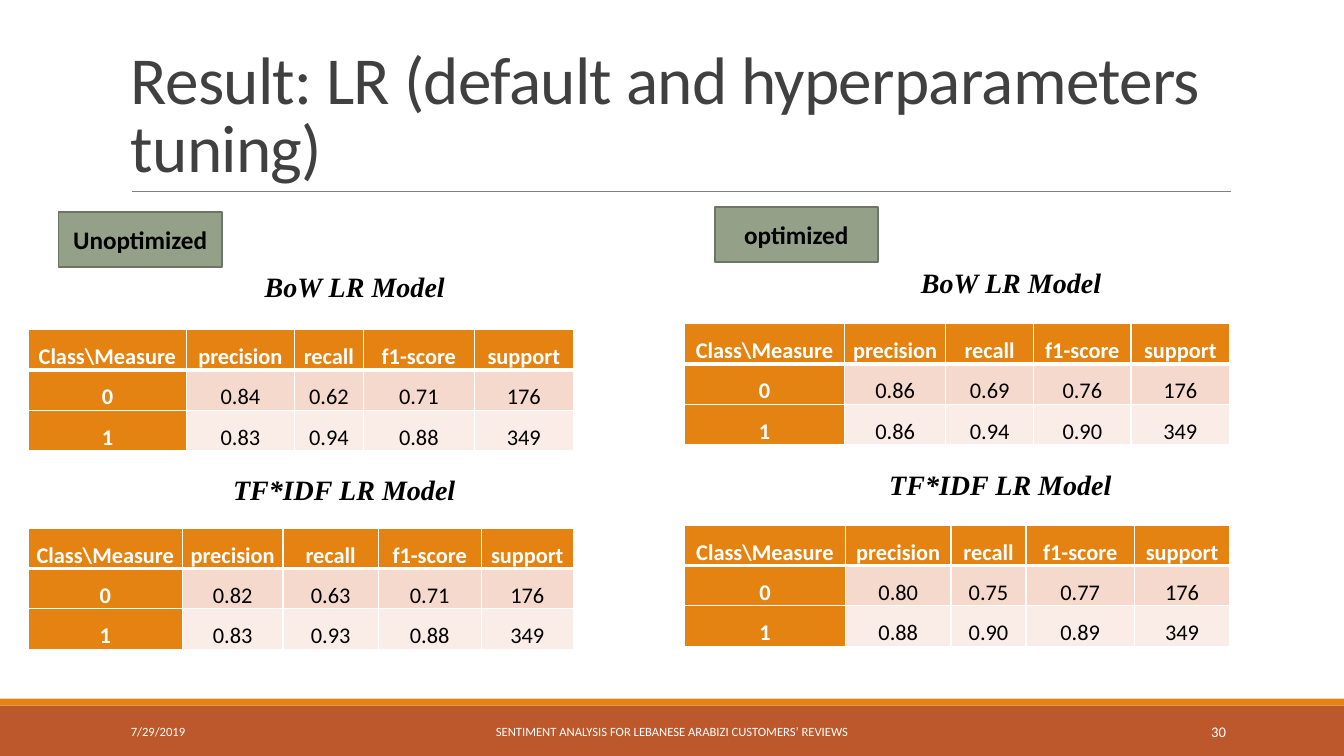
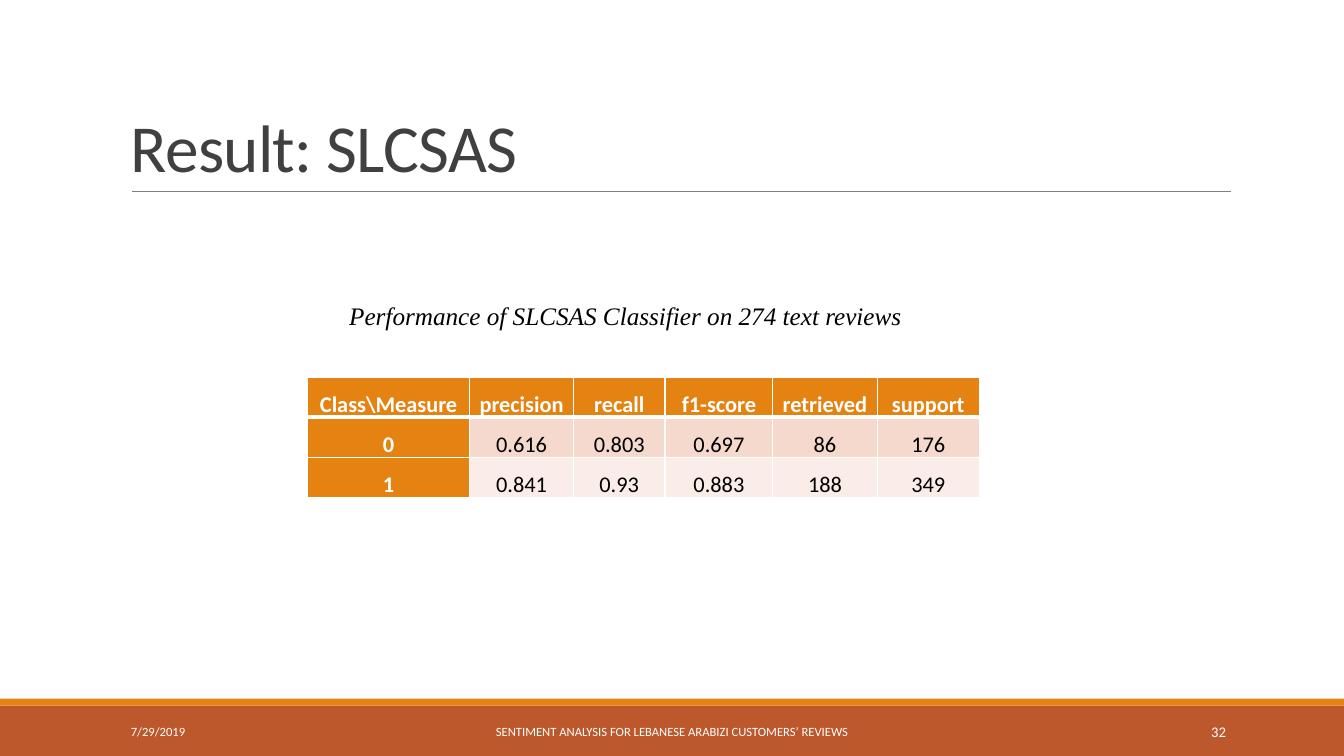
from dataclasses import dataclass

from lxml import etree
from pptx import Presentation
from pptx.dml.color import RGBColor
from pptx.enum.shapes import MSO_CONNECTOR, MSO_SHAPE
from pptx.enum.text import MSO_ANCHOR, PP_ALIGN
from pptx.oxml.ns import qn
from pptx.util import Pt

LEFT, CENTER, RIGHT = PP_ALIGN.LEFT, PP_ALIGN.CENTER, PP_ALIGN.RIGHT
MIDDLE, BOTTOM = MSO_ANCHOR.MIDDLE, MSO_ANCHOR.BOTTOM
RECT, STRAIGHT = MSO_SHAPE.RECTANGLE, MSO_CONNECTOR.STRAIGHT


@dataclass(frozen=True)
class Theme:
    orange: str = "E48312"
    rust: str = "BD582C"
    sage: str = "94A088"
    sage_dark: str = "6D7665"
    rule: str = "808080"
    title: str = "404040"
    black: str = "000000"
    white: str = "FFFFFF"
    bands: tuple[str, ...] = ("F5D9CC", "FAEDE7")
    sans: str = "Calibri"
    serif: str = "Times New Roman"
    title_size: float = 48
    caption_size: float = 20
    note_size: float = 18
    badge_size: float = 18
    table_size: float = 16
    footer_size: float = 9
    number_size: float = 10.5


T = Theme()


@dataclass(frozen=True)
class Style:
    size: float
    color: str = T.black
    name: str = T.sans
    bold: bool = False
    italic: bool = False
    align: PP_ALIGN = CENTER


@dataclass(frozen=True)
class Box:
    x: float
    y: float
    w: float
    h: float

    def lengths(self) -> tuple:
        return Pt(self.x), Pt(self.y), Pt(self.w), Pt(self.h)


@dataclass(frozen=True)
class Scores:
    x: float
    y: float
    widths: tuple[float, ...]
    rows: tuple[tuple[str, ...], ...]
    measures: tuple[str, ...] = ("precision", "recall", "f1-score", "support")


@dataclass(frozen=True)
class Model:
    caption: str
    caption_center: float
    caption_y: float
    scores: Scores


@dataclass(frozen=True)
class Panel:
    label: str
    x: float
    y: float
    models: tuple[Model, ...]


TITLE = Style(T.title_size, T.title, align=LEFT)
CAPTION = Style(T.caption_size, name=T.serif, bold=True, italic=True)
NOTE = Style(T.note_size, name=T.serif, italic=True)
BADGE = Style(T.badge_size, bold=True)
HEADING = Style(T.table_size, T.white, bold=True)
VALUE = Style(T.table_size)
DATE = Style(T.footer_size, T.white, align=LEFT)
FOOTER = Style(T.footer_size, T.white)
NUMBER = Style(T.number_size, T.white, align=RIGHT)

CAPTION_W, CAPTION_H = 200, 31.7
BADGE_W, BADGE_H = 116.6, 39.6
ROW_H, CELL_MARGIN = 28, 5
THIN, THICK = 1, 3

# Results
PANELS = (
    Panel("Unoptimized", 41.8, 151.2, (
        Model("BoW LR Model", 253.4, 188.6, Scores(
            20.2, 235.4, (113, 77, 49.5, 79, 71),
            (("0.84", "0.62", "0.71", "176"), ("0.83", "0.94", "0.88", "349")))),
        Model("TF*IDF LR Model", 245.9, 333.4, Scores(
            20.2, 377.3, (110, 72, 68, 73.5, 66),
            (("0.82", "0.63", "0.71", "176"), ("0.83", "0.93", "0.88", "349")))),
    )),
    Panel("optimized", 510.5, 147.6, (
        Model("BoW LR Model", 722.2, 185.8, Scores(
            488.9, 231.1, (114.5, 72, 63, 69.5, 70.5),
            (("0.86", "0.69", "0.76", "176"), ("0.86", "0.94", "0.90", "349")))),
        Model("TF*IDF LR Model", 714.6, 329.8, Scores(
            488.9, 375.1, (115, 75.5, 53.5, 77.5, 68),
            (("0.80", "0.75", "0.77", "176"), ("0.88", "0.90", "0.89", "349")))),
    )),
)
SLCSAS = Scores(
    219.6, 269.3, (116, 74, 65.5, 77, 74.5, 73),
    (("0.616", "0.803", "0.697", "86", "176"),
     ("0.841", "0.93", "0.883", "188", "349")),
    ("precision", "recall", "f1-score", "retrieved", "support"))


# Text and shapes
def write(tf, text: str, style: Style, spacing: float | None = None):
    p = tf.paragraphs[0]
    p.alignment = style.align
    if spacing:
        p.line_spacing = spacing
    f = p.font
    f.size, f.name = Pt(style.size), style.name
    f.bold, f.italic = style.bold, style.italic
    f.color.rgb = RGBColor.from_string(style.color)
    r = p.add_run()
    r.text = text
    return r


def add_text(s, box: Box, text: str, style: Style, anchor=MIDDLE,
             spacing: float | None = None):
    tf = s.shapes.add_textbox(*box.lengths()).text_frame
    tf.word_wrap = True
    tf.vertical_anchor = anchor
    return write(tf, text, style, spacing)


def add_rect(s, box: Box, fill: str, line: str | None = None):
    sp = s.shapes.add_shape(RECT, *box.lengths())
    sp.shadow.inherit = False
    sp.fill.solid()
    sp.fill.fore_color.rgb = RGBColor.from_string(fill)
    if line:
        sp.line.color.rgb = RGBColor.from_string(line)
        sp.line.width = Pt(1.25)
    else:
        sp.line.fill.background()
    return sp


# Tables
def set_borders(cell, top: float, bottom: float) -> None:
    tc_pr = cell._tc.get_or_add_tcPr()
    sides = (("L", THIN), ("R", THIN), ("T", top), ("B", bottom))
    for i, (side, width) in enumerate(sides):
        ln = etree.Element(qn(f"a:ln{side}"), w=str(Pt(width)))
        fill = etree.SubElement(ln, qn("a:solidFill"))
        etree.SubElement(fill, qn("a:srgbClr"), val=T.white)
        tc_pr.insert(i, ln)


def add_scores(s, scores: Scores) -> None:
    grid = [("Class\\Measure", *scores.measures)]
    grid += [(str(i), *row) for i, row in enumerate(scores.rows)]
    box = Box(scores.x, scores.y, sum(scores.widths), ROW_H * len(grid))
    table = s.shapes.add_table(len(grid), len(grid[0]), *box.lengths()).table
    table.first_col, table.horz_banding = True, False
    for col, width in zip(table.columns, scores.widths):
        col.width = Pt(width)
    for i, row in enumerate(grid):
        for j, text in enumerate(row):
            cell = table.cell(i, j)
            heading = i == 0 or j == 0
            cell.margin_left = cell.margin_right = Pt(CELL_MARGIN)
            cell.margin_top = cell.margin_bottom = Pt(0)
            cell.fill.solid()
            cell.fill.fore_color.rgb = RGBColor.from_string(
                T.orange if heading else T.bands[i - 1])
            set_borders(cell, THICK if i == 1 else THIN, THICK if i == 0 else THIN)
            write(cell.text_frame, text, HEADING if heading else VALUE, 1.5)
            cell.text_frame.paragraphs[0].space_after = Pt(8)


# Shared slide frame
def add_frame(prs, title: str, number: int):
    s = prs.slides.add_slide(prs.slide_layouts[6])
    add_rect(s, Box(0, 504, 960, 36), T.rust)
    add_rect(s, Box(0, 499, 960, 5), T.orange)
    rule = s.shapes.add_connector(STRAIGHT, Pt(94.3), Pt(136.8), Pt(879), Pt(136.8))
    rule.line.color.rgb = RGBColor.from_string(T.rule)
    rule.line.width = Pt(0.5)
    etree.SubElement(rule._element.spPr, qn("a:effectLst"))
    r = add_text(s, Box(86.4, 22.3, 792, 114.5), title, TITLE, BOTTOM, 0.85)
    r._r.get_or_add_rPr().set("spc", "-50")
    add_text(s, Box(86.4, 508.3, 194.4, 28.8), "7/29/2019", DATE)
    add_text(s, Box(290.2, 508.3, 379.4, 28.8),
             "SENTIMENT ANALYSIS FOR LEBANESE ARABIZI CUSTOMERS’ REVIEWS", FOOTER)
    add_text(s, Box(779.8, 508.3, 103, 28.8), str(number), NUMBER)
    return s


def add_panel(s, panel: Panel) -> None:
    for m in panel.models:
        add_scores(s, m.scores)
        box = Box(m.caption_center - CAPTION_W / 2, m.caption_y, CAPTION_W, CAPTION_H)
        add_text(s, box, m.caption, CAPTION)
    badge = add_rect(s, Box(panel.x, panel.y, BADGE_W, BADGE_H), T.sage, T.sage_dark)
    badge.text_frame.vertical_anchor = MIDDLE
    write(badge.text_frame, panel.label, BADGE)


def main() -> None:
    prs = Presentation()
    prs.slide_width, prs.slide_height = Pt(960), Pt(540)

    # Logistic regression, before and after tuning
    s = add_frame(prs, "Result: LR (default and hyperparameters tuning)", 30)
    for panel in PANELS:
        add_panel(s, panel)

    # SLCSAS classifier
    s = add_frame(prs, "Result: SLCSAS", 32)
    add_scores(s, SLCSAS)
    add_text(s, Box(113.8, 211, 666, 28.8),
             "Performance of SLCSAS Classifier on 274 text reviews", NOTE)

    prs.save("out.pptx")


if __name__ == "__main__":
    main()
